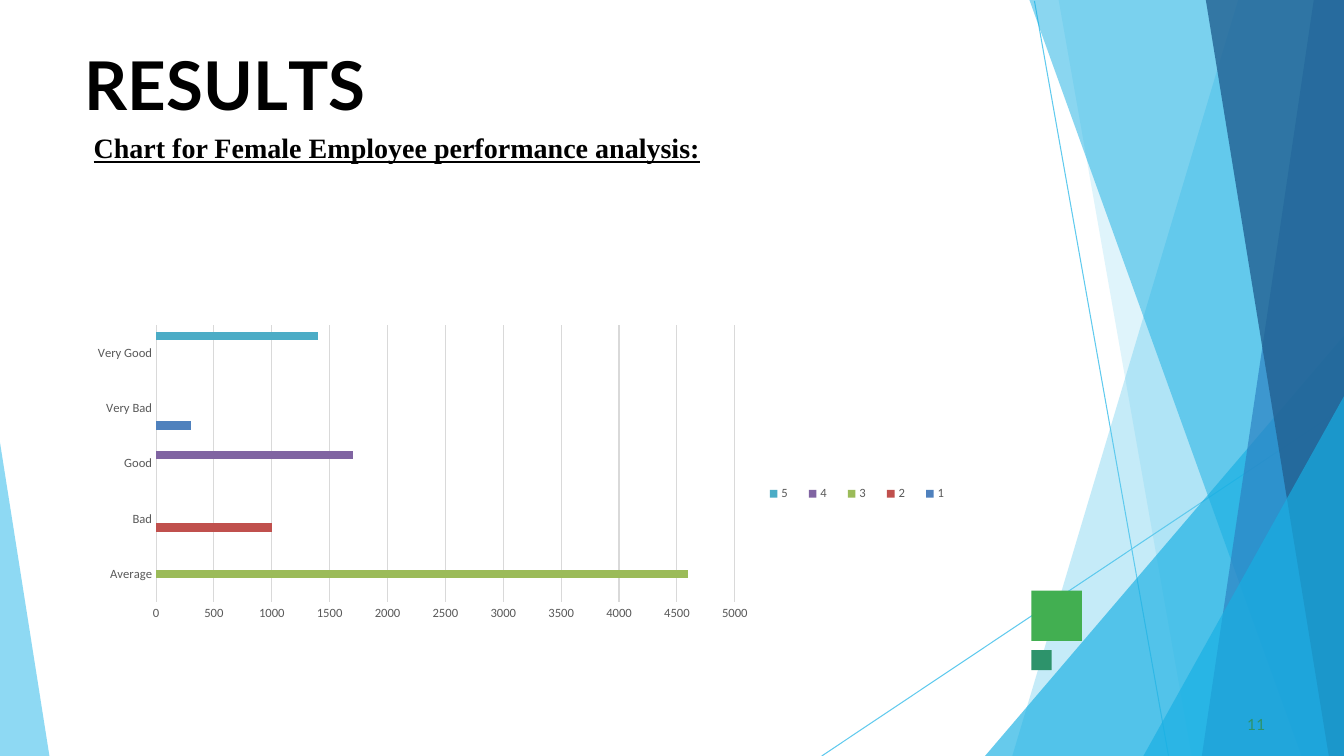
import pptx
import pptx.chart.data
import pptx.dml.color
import pptx.enum.chart
import pptx.enum.shapes
import pptx.enum.text
import pptx.oxml
import pptx.oxml.ns
import pptx.util
from pptx.util import Inches
from lxml import etree

COLORS = {
    "sky": "5FCAEE", "cyan": "17AFE3", "blue": "2D83C3", "navy": "226192",
    "green": "42AF51", "teal": "2D936B", "black": "000000",
    "label": "595959", "grid": "D9D9D9",
}
RGB = pptx.dml.color.RGBColor.from_string
qn = pptx.oxml.ns.qn


def write_text(frame, text, size, font, color, bold=False, underline=False,
               insets=(0.1, 0.05, 0.1, 0.05), indent=0, space_before=0):
    runs = [(text, 0)] if isinstance(text, str) else text
    frame.word_wrap = True
    frame.auto_size = pptx.enum.text.MSO_AUTO_SIZE.SHAPE_TO_FIT_TEXT
    frame.vertical_anchor = pptx.enum.text.MSO_ANCHOR.TOP
    frame.margin_left, frame.margin_top, frame.margin_right, frame.margin_bottom = map(Inches, insets)
    paragraph = frame.paragraphs[0]
    paragraph.alignment = pptx.enum.text.PP_ALIGN.LEFT
    paragraph.space_before = pptx.util.Pt(space_before)
    properties = paragraph._p.get_or_add_pPr()
    properties.set("marL", str(Inches(indent)))
    properties.set("indent", "0")
    for letters, spacing in runs:
        run = paragraph.add_run()
        run.text = letters
        run.font.size = pptx.util.Pt(size)
        run.font.name = font
        run.font.bold = bold
        run.font.underline = underline
        run.font.color.rgb = RGB(COLORS[color])
        run._r.get_or_add_rPr().set("spc", str(round(spacing * 100)))


def set_layout(element, x, y, width, height, inner=False):
    for old in element.findall(qn("c:layout")):
        element.remove(old)
    layout = etree.Element(qn("c:layout"))
    manual = etree.SubElement(layout, qn("c:manualLayout"))
    values = [("layoutTarget", "inner")] if inner else []
    values += [("xMode", "edge"), ("yMode", "edge"), ("x", x), ("y", y), ("w", width), ("h", height)]
    for tag, value in values:
        etree.SubElement(manual, qn("c:" + tag)).set("val", str(value))
    element.insert(0 if inner else 1, layout)


presentation = pptx.Presentation()
presentation.slide_width = Inches(13.33)
presentation.slide_height = Inches(7.5)
slide = presentation.slides.add_slide(presentation.slide_layouts[5])
shapes = slide.shapes

for start_x, start_y, end_x, end_y in [(10.26, 0.01, 11.59, 7.5), (13.33, 4.04, 8.15, 7.5)]:
    line = shapes.add_connector(pptx.enum.shapes.MSO_CONNECTOR.STRAIGHT,
                                Inches(start_x), Inches(start_y), Inches(end_x), Inches(end_y))
    line.line.color.rgb = RGB(COLORS["sky"])
    line.line.width = pptx.util.Pt(0.75)
    etree.SubElement(line._element.spPr, qn("a:effectLst"))

facets = [
    ("sky", 36, [(13.33, 0), (12.28, 0), (10.04, 7.5), (13.33, 7.5)]),
    ("sky", 20, [(13.33, 0), (10.5, 0), (11.82, 7.5), (13.33, 7.5)]),
    ("cyan", 66, [(13.33, 3.33), (9.77, 7.5), (13.33, 7.5)]),
    ("cyan", 50, [(13.33, 0), (10.21, 0), (12.91, 7.5), (13.33, 7.5)]),
    ("blue", 70, [(13.33, 0), (13.03, 0), (11.92, 7.5), (13.33, 7.5)]),
    ("navy", 80, [(13.33, 0), (11.96, 0), (13.18, 7.5), (13.33, 7.5)]),
    ("cyan", 66, [(13.33, 3.93), (11.34, 7.5), (13.33, 7.5)]),
    ("sky", 70, [(0, 4.39), (0, 7.5), (0.49, 7.5)]),
]
for color, opacity, points in facets:
    corners = [(Inches(x), Inches(y)) for x, y in points]
    builder = shapes.build_freeform(*corners[0])
    builder.add_line_segments(corners[1:], close=True)
    facet = builder.convert_to_shape()
    facet.shadow.inherit = False
    facet.line.fill.background()
    facet.fill.solid()
    facet.fill.fore_color.rgb = RGB(COLORS[color])
    tint = facet._element.spPr.find(qn("a:solidFill"))[0]
    etree.SubElement(tint, qn("a:alpha")).set("val", str(opacity * 1000))

for color, top, side in [("green", 5.86, 0.5), ("teal", 6.45, 0.2)]:
    square = shapes.add_shape(pptx.enum.shapes.MSO_SHAPE.RECTANGLE,
                              Inches(10.23), Inches(top), Inches(side), Inches(side))
    square.shadow.inherit = False
    square.line.fill.background()
    square.fill.solid()
    square.fill.fore_color.rgb = RGB(COLORS[color])

title = shapes.title
title.left, title.top, title.width, title.height = map(Inches, (0.83, 0.42, 11.68, 0.83))
write_text(title.text_frame,
           [("R", 0), ("E", -0.4), ("S", 0.1), ("U", -0.3), ("L", -4), ("TS", 0)],
           size=48, font="Lato", color="black", bold=True,
           insets=(0, 0.01, 0, 0), indent=0.01, space_before=1.1)

page_number = shapes.add_textbox(Inches(12.33), Inches(7.08), Inches(0.25), Inches(0.21))
write_text(page_number.text_frame, [("11", 0.1)], size=11, font="Lato", color="teal",
           insets=(0, 0.01, 0, 0), indent=0.04, space_before=0.6)

subtitle = shapes.add_textbox(Inches(0.83), Inches(1.25), Inches(6.5), Inches(0.44))
write_text(subtitle.text_frame, "Chart for Female Employee performance analysis:",
           size=20, font="Times New Roman", color="black", bold=True, underline=True)

ratings = ["Average", "Bad", "Good", "Very Bad", "Very Good"]
scores = [
    ("1", "Very Bad", 300, "4F81BD"),
    ("2", "Bad", 1000, "C0504D"),
    ("3", "Average", 4600, "9BBB59"),
    ("4", "Good", 1700, "8064A2"),
    ("5", "Very Good", 1400, "4BACC6"),
]
chart_data = pptx.chart.data.CategoryChartData()
chart_data.categories = ratings
for name, rating, total, _ in scores:
    chart_data.add_series(name, [total if category == rating else None for category in ratings])
chart = shapes.add_chart(pptx.enum.chart.XL_CHART_TYPE.BAR_CLUSTERED,
                         Inches(0.83), Inches(2.08), Inches(8.97), Inches(4.99), chart_data).chart
chart.has_title = False
chart.font.size = pptx.util.Pt(10)
chart.font.name = "Calibri"
chart.font.color.rgb = RGB(COLORS["black"])
plot = chart.plots[0]
plot.gap_width = 150
plot.vary_by_categories = False
for series, (_, _, _, color) in zip(plot.series, scores):
    series.format.fill.solid()
    series.format.fill.fore_color.rgb = RGB(color)

for axis in (chart.category_axis, chart.value_axis):
    axis.major_tick_mark = pptx.enum.chart.XL_TICK_MARK.NONE
    axis.minor_tick_mark = pptx.enum.chart.XL_TICK_MARK.NONE
    axis.format.line.fill.background()
chart.category_axis.has_major_gridlines = False
chart.value_axis.minimum_scale = 0
chart.value_axis.maximum_scale = 5000
chart.value_axis.major_unit = 500
gridlines = chart.value_axis.major_gridlines.format.line
gridlines.color.rgb = RGB(COLORS["grid"])
gridlines.width = pptx.util.Pt(0.75)

chart.has_legend = True
chart.legend.position = pptx.enum.chart.XL_LEGEND_POSITION.RIGHT
chart.legend.include_in_layout = False
for font in (chart.category_axis.tick_labels.font, chart.value_axis.tick_labels.font, chart.legend.font):
    font.size = pptx.util.Pt(9)
    font.name = "Calibri"
    font.color.rgb = RGB(COLORS["label"])
set_layout(chart._chartSpace.chart.plotArea, 0.08, 0.23, 0.64, 0.55, inner=True)
set_layout(chart.legend._element, 0.74, 0.54, 0.23, 0.05)

presentation.save("out.pptx")
